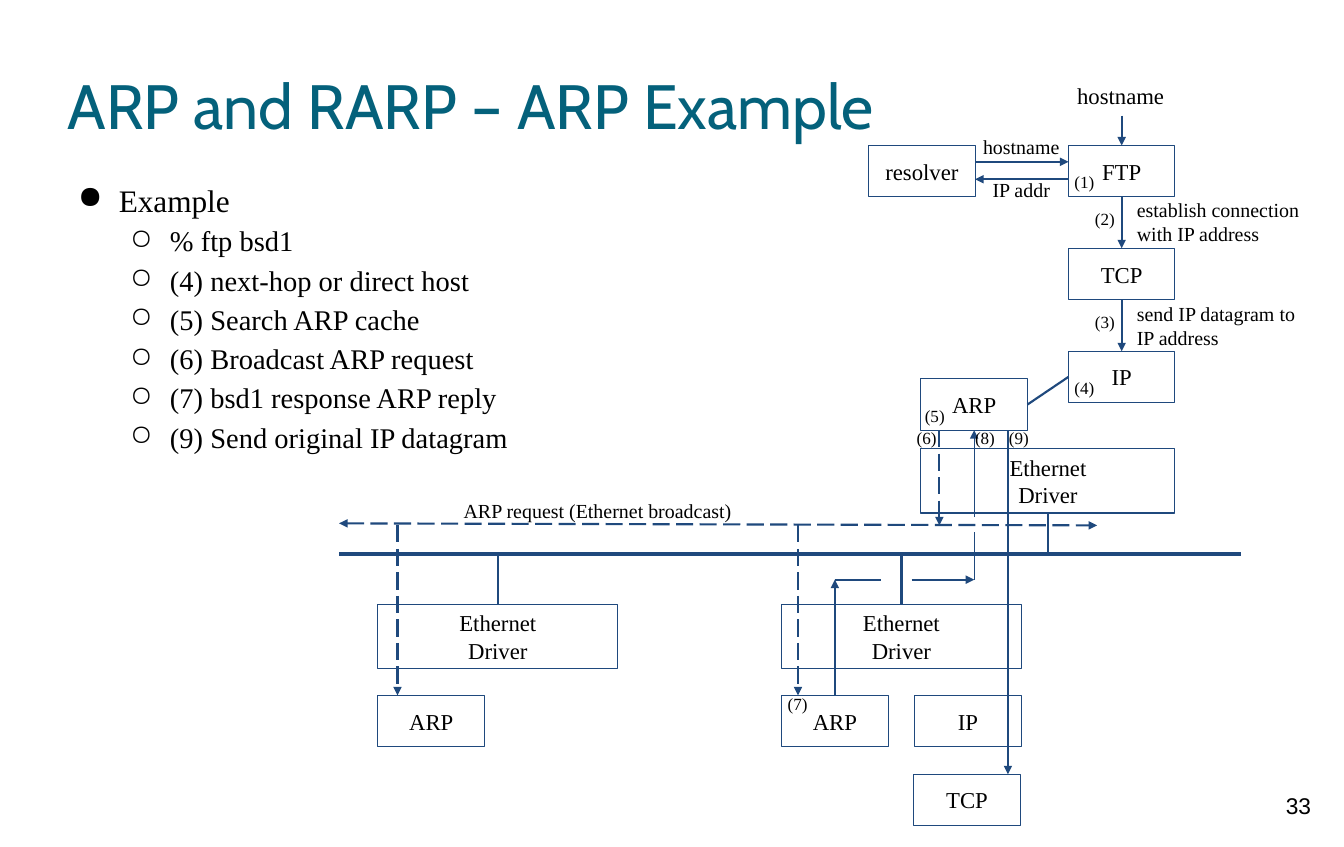
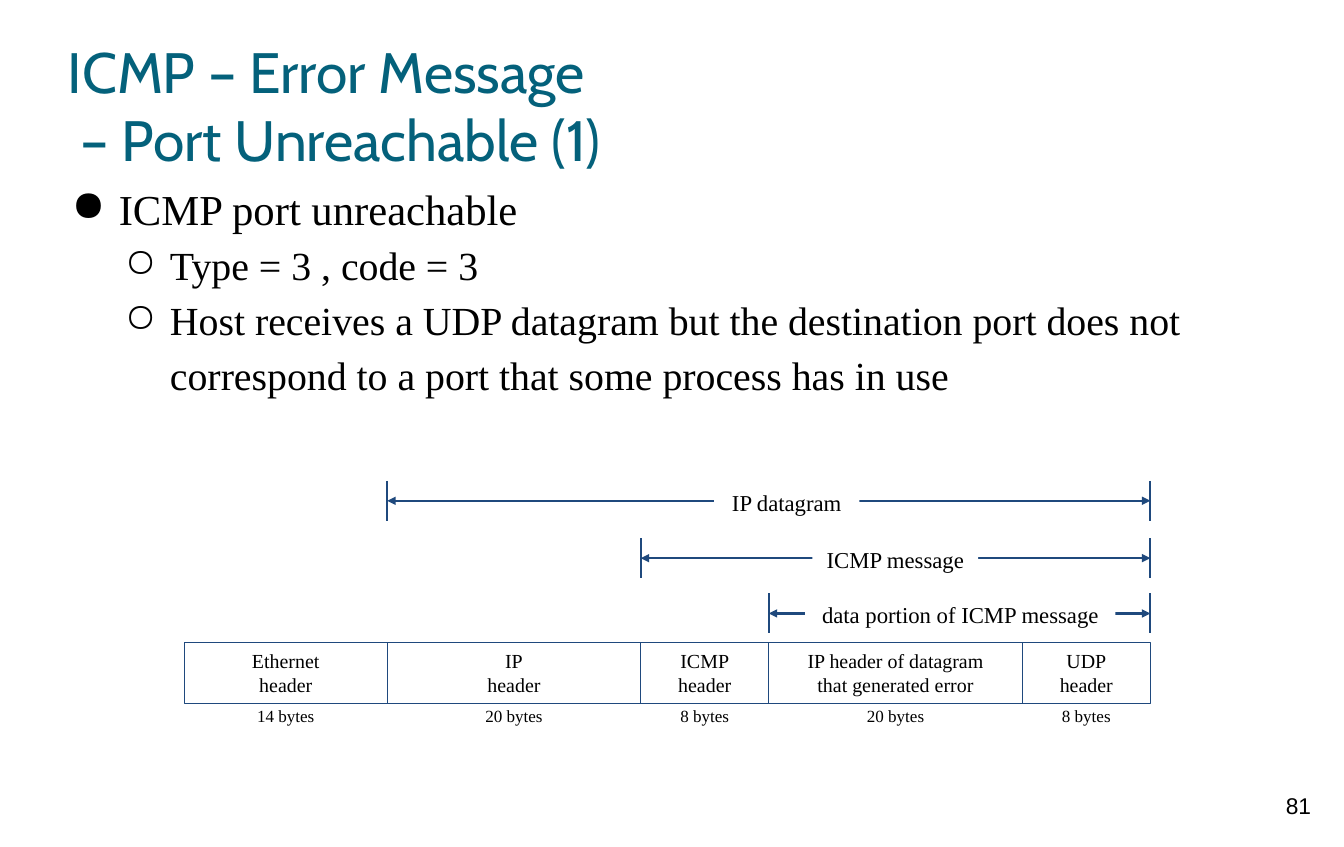
from lxml import etree
from pptx import Presentation
from pptx.dml.color import RGBColor
from pptx.enum.dml import MSO_LINE
from pptx.enum.shapes import MSO_CONNECTOR, MSO_SHAPE
from pptx.enum.text import MSO_ANCHOR, PP_ALIGN
from pptx.oxml.ns import qn
from pptx.util import Inches, Pt

LEFT, MID = PP_ALIGN.LEFT, PP_ALIGN.CENTER
HIGH, EVEN = MSO_ANCHOR.TOP, MSO_ANCHOR.MIDDLE
DASH = MSO_LINE.LONG_DASH
RECT, WIRE = MSO_SHAPE.RECTANGLE, MSO_CONNECTOR.STRAIGHT
TOP, WEST, BASE, EAST = range(4)
SIDES = {TOP: (0.5, 0), WEST: (0, 0.5), BASE: (0.5, 1), EAST: (1, 0.5)}
COLS, ROWS = 131.2, 82.7
CELL = Inches(0.1)
COLORS = {"title": "04617B", "text": "000000", "line": "1F497D", "paper": "FFFFFF"}
SERIF, SANS, HEAD = "Times New Roman", "Arial", "Cabin"


def grid(*cells):
    return [round(cell * CELL) for cell in cells]


def tint(name):
    return RGBColor.from_string(COLORS[name])


class Deck:
    def __init__(self):
        self.show = Presentation()
        self.show.slide_width, self.show.slide_height = grid(COLS, ROWS)
        self.slide = None

    def page(self, number, title, size):
        self.slide = self.show.slides.add_slide(self.show.slide_layouts[6])
        self.text(122.8, 76.3, 7.9, 6.3, number, 16, anchor=HIGH, font=SANS)
        self.text(6.6, 3.3, 118.1, 13.8, title, size, LEFT, font=HEAD, color="title", pad=0)

    def label(self, shape, words, size, align=MID, anchor=EVEN, font=SERIF, color="text", pad=1):
        frame = shape.text_frame
        frame.text = words
        frame.word_wrap = True
        frame.vertical_anchor = anchor
        inset, = grid(pad)
        frame.margin_left = frame.margin_right = inset
        frame.margin_top = frame.margin_bottom = inset
        for para in frame.paragraphs:
            para.alignment = align
            for run in para.runs:
                run.font.name, run.font.size = font, Pt(size)
                run.font.color.rgb = tint(color)
        return shape

    def text(self, x, y, w, h, words, size, *args, **style):
        shape = self.slide.shapes.add_textbox(*grid(x, y, w, h))
        return self.label(shape, words, size, *args, **style)

    def box(self, x, y, w, h, words, size=16):
        shape = self.slide.shapes.add_shape(RECT, *grid(x, y, w, h))
        shape.shadow.inherit = False
        shape.fill.background()
        shape.line.color.rgb = tint("line")
        shape.line.width = Pt(0.75)
        return self.label(shape, words, size)

    def patch(self, x, y, w, h, words):
        shape = self.box(x, y, w, h, words)
        shape.fill.solid()
        shape.fill.fore_color.rgb = tint("paper")
        shape.line.fill.background()
        shape.text_frame.vertical_anchor = HIGH

    def spot(self, end):
        if isinstance(end[0], (int, float)):
            return grid(*end)
        shape, side = end
        across, down = SIDES[side]
        return [round(shape.left + across * shape.width), round(shape.top + down * shape.height)]

    def line(self, start, stop, tips="", width=1.5, dash=None):
        wire = self.slide.shapes.add_connector(WIRE, *self.spot(start), *self.spot(stop))
        for end, join in ((start, wire.begin_connect), (stop, wire.end_connect)):
            if not isinstance(end[0], (int, float)):
                join(*end)
        wire.line.color.rgb = tint("line")
        wire.line.width = Pt(width)
        if dash:
            wire.line.dash_style = dash
        edge = wire._element.spPr.find(qn("a:ln"))
        for tip in tips.split():
            etree.SubElement(edge, qn(f"a:{tip}End"), type="triangle")
        etree.SubElement(wire._element.spPr, qn("a:effectLst"))

    def list(self, h, items, sizes, hangs):
        words = "\n".join(item for level, item in items)
        shape = self.text(6.6, 17.1, 118.4, h, words, sizes[1], LEFT, HIGH, pad=0)
        for para, (level, item) in zip(shape.text_frame.paragraphs, items):
            para.level = level
            para.line_spacing = 1.15
            para.runs[0].font.size = Pt(sizes[level])
            props = para._p.get_or_add_pPr()
            props.set("marL", str(Inches(0.5 * (level + 1))))
            props.set("indent", str(-Inches(hangs[level])))
            shade = etree.SubElement(props, qn("a:buClr"))
            etree.SubElement(shade, qn("a:srgbClr"), val=COLORS["text"])
            etree.SubElement(props, qn("a:buChar"), char="●○"[level])

    def span(self, left, right, y, center, width, words):
        for x in (left, right):
            self.line((x, y - 1.95), (x, y + 1.95))
        self.line((left, y), (right, y), "head tail")
        self.patch(center - width / 2, y - 2.2, width, 4.7, words)


def arp(deck):
    deck.page("33", "ARP and RARP – ARP Example", 44)
    steps = ["% ftp bsd1", "(4) next-hop or direct host", "(5) Search ARP cache",
             "(6) Broadcast ARP request", "(7) bsd1 response ARP reply",
             "(9) Send original IP datagram"]
    deck.list(61.9, [(0, "Example")] + [(1, step) for step in steps], (22, 20), (0.4, 0.39))

    def node(x, y, words):
        return deck.box(x, y, 10.4, 5, words)

    def driver(x, y, w):
        return deck.box(x, y, w, 6.3, "Ethernet\nDriver")

    stack = [node(104.3, 14.2 + 10.05 * i, word) for i, word in enumerate(("FTP", "TCP", "IP"))]
    for upper, lower in zip(stack, stack[1:]):
        deck.line((upper, BASE), (lower, TOP), "tail")
    node(84.8, 14.2, "resolver")
    deck.line((95.2, 15.8), (104.3, 15.8), "tail")
    deck.line((104.3, 17.5), (95.2, 17.5), "tail")
    for y, words in ((12.1, "hostname"), (16.3, "IP addr")):
        deck.text(94.2, y, 11, 2.9, words, 14, anchor=HIGH)
    deck.text(103.9, 7.5, 11, 3.7, "hostname", 16)
    deck.line((109.5, 11.3), (stack[0], TOP), "tail")

    cache = node(89.9, 37, "ARP")
    deck.line((stack[2], WEST), (cache, EAST))
    bus, cast = 54.1, 51.3
    deck.line((33.1, bus), (121.1, bus), width=3)
    deck.line((driver(89.9, 43.8, 24.8), BASE), (102.3, bus))
    for x in (36.9, 76.3):
        deck.line((driver(x, 59, 23.4), TOP), (x + 11.7, bus))
    node(36.9, 67.9, "ARP")
    peer = node(76.3, 67.9, "ARP")
    node(89.3, 67.9, "IP")
    node(89.2, 75.6, "TCP")

    deck.line((33.1, 51.1), (107.1, cast), "head tail", dash=DASH)
    for x, start, stop in ((38.8, cast, 67.9), (77.9, cast, 67.9), (91.7, 42, cast)):
        deck.line((x, start), (x, stop), "tail", dash=DASH)
    deck.line((peer, TOP), (81.5, 56.6), "tail")
    deck.line((81.5, 56.6), (86, 56.6))
    deck.line((89, 56.6), (95.1, 56.6), "tail")
    deck.line((95.1, 56.6), (95.1, 51.9), width=0.75)
    deck.line((95.1, 50.5), (cache, BASE), "tail", 0.75)
    deck.line((98.4, 42), (98.4, 75.6), "tail")

    deck.text(41, 48.4, 34.7, 2.9, "ARP request (Ethernet broadcast)", 14)
    for y, words in ((20.2, "establish connection with IP address"),
                     (30.3, "send IP datagram to IP address")):
        deck.text(110, y, 19.4, 2.9, words, 14, LEFT)
    marks = [(103.9, 16.3), (105.9, 19.9), (105.9, 30), (103.9, 36.4), (89.3, 39.1),
             (88.5, 41.3), (75.9, 67.3), (94.2, 41.3), (97.5, 41.3)]
    for i, (x, y) in enumerate(marks, 1):
        deck.text(x, y, 4.1, 2.9, f"({i})", 12, LEFT)


def icmp(deck):
    deck.page("81", "ICMP – Error Message\n – Port Unreachable (1)", 40)
    deck.list(27.1, [(0, "ICMP port unreachable"), (1, "Type = 3 , code = 3"),
                     (1, "Host receives a UDP datagram but the destination port does not "
                         "correspond to a port that some process has in use")],
              (30, 28), (0.46, 0.44))
    fields = [(19.8, "Ethernet\nheader", 14), (24.75, "IP\nheader", 20),
              (12.5, "ICMP\nheader", 8),
              (24.75, "IP header of datagram\nthat generated error", 20),
              (12.5, "UDP\nheader", 8)]
    x, edges = 18, []
    for width, words, count in fields:
        edges.append(x)
        deck.box(x, 62.7, width, 6, words, 14)
        deck.text(x + width / 2 - 7.1, 67.9, 14.2, 4, f"{count} bytes", 12, anchor=HIGH)
        x += width
    spans = [(1, 48.9, 76.8, 14.2, "IP datagram"), (2, 54.5, 87.4, 16.2, "ICMP message"),
             (3, 59.9, 93.75, 30.3, "data portion of ICMP message")]
    for field, *rest in spans:
        deck.span(edges[field], x, *rest)


def main():
    deck = Deck()
    arp(deck)
    icmp(deck)
    deck.show.save("out.pptx")


if __name__ == "__main__":
    main()
